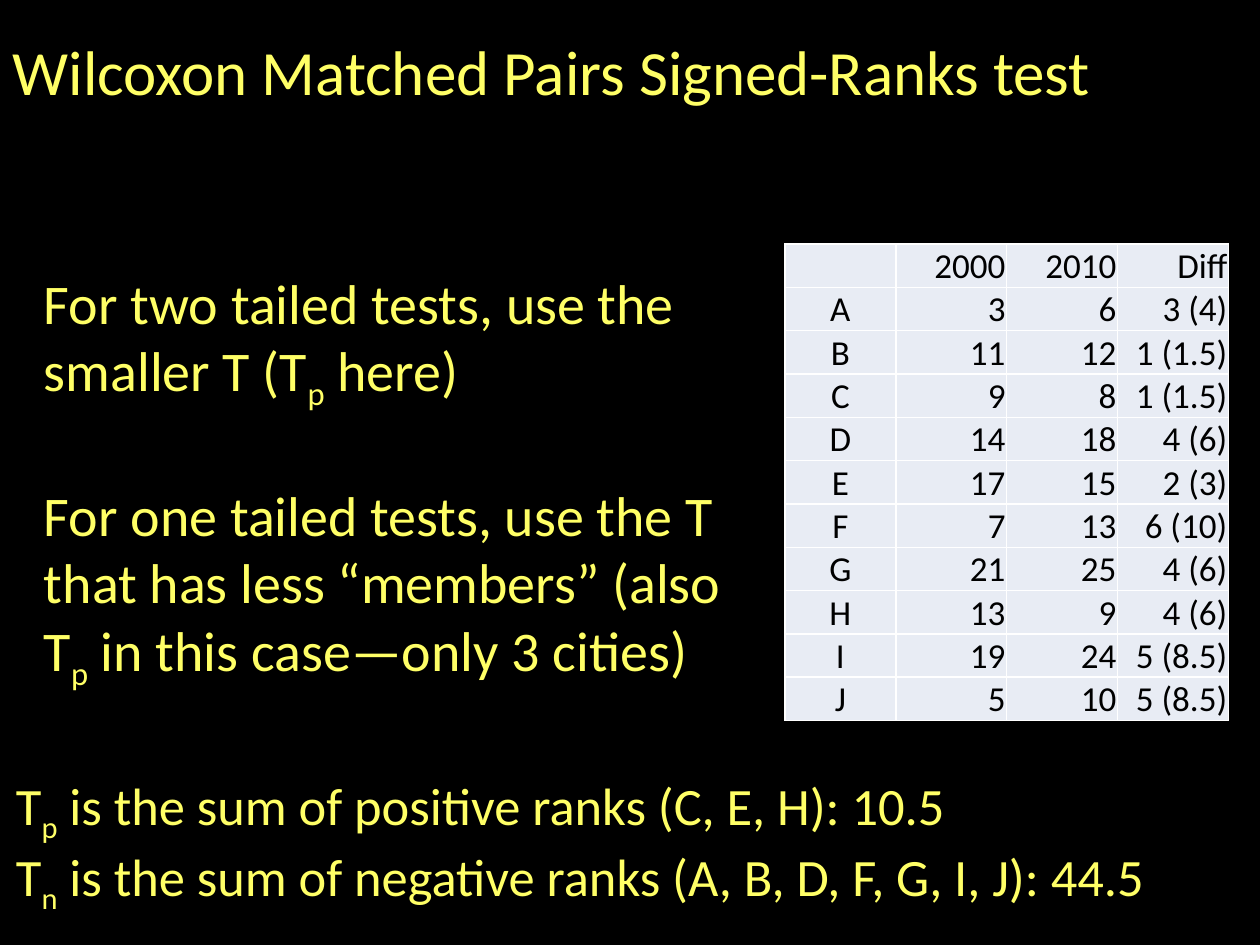
import pptx
import pptx.dml.color
import pptx.enum.text
import pptx.oxml
import pptx.oxml.ns
import pptx.util

Pt = pptx.util.Pt
ALIGN = pptx.enum.text.PP_ALIGN
ANCHOR = pptx.enum.text.MSO_ANCHOR


def color(code):
    return pptx.dml.color.RGBColor.from_string(code)


class Deck:
    font = "Calibri"
    ink = "FFFF66"
    back = "000000"
    cell_ink = "000000"
    cell_fill = "E8ECF4"
    rule = "FFFFFF"

    def __init__(self, wide, high):
        self.prs = pptx.Presentation()
        self.prs.slide_width, self.prs.slide_height = Pt(wide), Pt(high)
        self.slide = self.prs.slides.add_slide(self.prs.slide_layouts[5])
        fill = self.slide.background.fill
        fill.solid()
        fill.fore_color.rgb = color(self.back)

    def style(self, run, size, ink):
        run.font.name = self.font
        run.font.size = Pt(size)
        run.font.color.rgb = color(ink)

    def title(self, text, left, top, wide, high, size):
        shape = self.slide.shapes.title
        shape.left, shape.top = Pt(left), Pt(top)
        shape.width, shape.height = Pt(wide), Pt(high)
        frame = shape.text_frame
        frame.text = text
        frame.vertical_anchor = ANCHOR.MIDDLE
        para = frame.paragraphs[0]
        para.alignment = ALIGN.LEFT
        self.style(para.runs[0], size, self.ink)

    def text(self, lines, left, top, wide, high, size, gap=0):
        """Underscores in a line enclose a subscript."""
        box = self.slide.shapes.add_textbox(Pt(left), Pt(top), Pt(wide), Pt(high))
        frame = box.text_frame
        frame.word_wrap = True
        for i, line in enumerate(lines):
            para = frame.add_paragraph() if i else frame.paragraphs[0]
            para.space_before = Pt(gap if i else 0)
            for j, part in enumerate(line.split("_")):
                run = para.add_run()
                run.text = part
                self.style(run, size, self.ink)
                if j % 2:
                    run.font._element.set("baseline", "-25000")

    def border(self, cell):
        props = cell._tc.get_or_add_tcPr()
        for side in ("lnL", "lnR", "lnT", "lnB"):
            props.append(pptx.oxml.parse_xml(
                f'<a:{side} {pptx.oxml.ns.nsdecls("a")} w="{Pt(1)}"><a:solidFill>'
                f'<a:srgbClr val="{self.rule}"/></a:solidFill></a:{side}>'))

    def table(self, rows, left, top, col, row, size):
        count, span = len(rows), len(rows[0])
        grid = self.slide.shapes.add_table(
            count, span, Pt(left), Pt(top), Pt(col * span), Pt(row * count)).table
        for line in grid.rows:
            line.height = Pt(row)
        for r, items in enumerate(rows):
            for c, item in enumerate(items):
                cell = grid.cell(r, c)
                self.border(cell)
                cell.fill.solid()
                cell.fill.fore_color.rgb = color(self.cell_fill)
                cell.margin_left = cell.margin_right = cell.margin_top = Pt(0.72)
                cell.margin_bottom = Pt(0)
                cell.vertical_anchor = ANCHOR.BOTTOM
                cell.text_frame.text = item
                para = cell.text_frame.paragraphs[0]
                para.alignment = ALIGN.RIGHT if c else ALIGN.CENTER
                for run in para.runs:
                    self.style(run, size, self.cell_ink)
                    run.font.bold = False


def main():
    deck = Deck(720, 540)

    # Title
    deck.title("Wilcoxon Matched Pairs Signed-Ranks test", 0, 12, 716, 56, 36)

    # Which T to use
    deck.text(["For two tailed tests, use the smaller T (T_p_ here)",
               "For one tailed tests, use the T that has less “members” "
               "(also T_p_ in this case—only 3 cities)"],
              18, 150, 420, 240, 32, gap=39)

    # Cities, with ranks of the differences
    rows = [("", "2000", "2010", "Diff"),
            ("A", "3", "6", "3 (4)"),
            ("B", "11", "12", "1 (1.5)"),
            ("C", "9", "8", "1 (1.5)"),
            ("D", "14", "18", "4 (6)"),
            ("E", "17", "15", "2 (3)"),
            ("F", "7", "13", "6 (10)"),
            ("G", "21", "25", "4 (6)"),
            ("H", "13", "9", "4 (6)"),
            ("I", "19", "24", "5 (8.5)"),
            ("J", "5", "10", "5 (8.5)")]
    deck.table(rows, 448.5, 139.5, 63.4, 24.75, 20)

    # Rank sums
    deck.text(["T_p_ is the sum of positive ranks (C, E, H): 10.5",
               "T_n_ is the sum of negative ranks (A, B, D, F, G, I, J): 44.5"],
              2, 438, 711, 85, 30)

    deck.prs.save("out.pptx")


if __name__ == "__main__":
    main()
